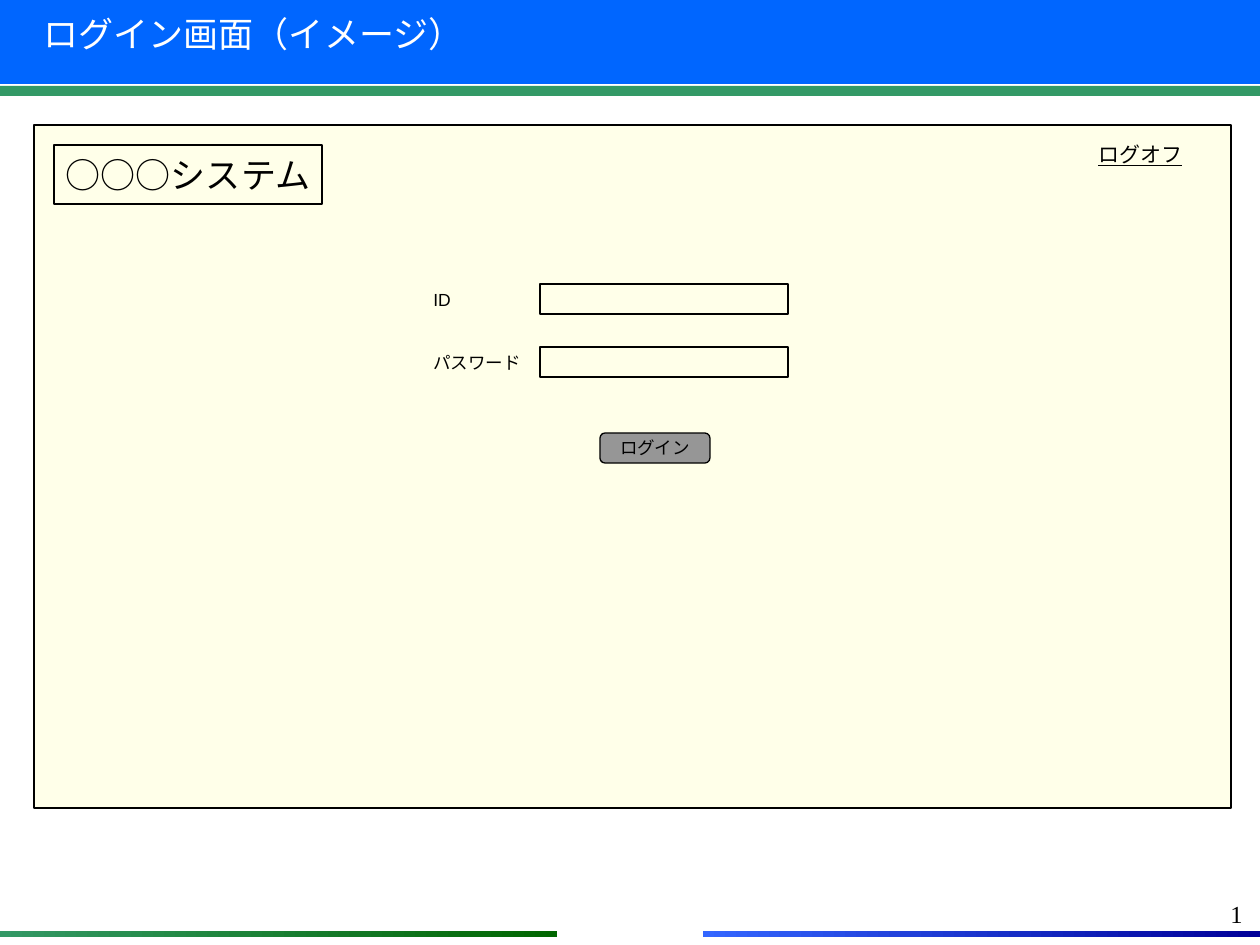
"""Build a login screen mock-up slide."""
from dataclasses import dataclass

from pptx import Presentation
from pptx.dml.color import RGBColor
from pptx.enum.shapes import MSO_SHAPE as Preset
from pptx.enum.text import MSO_ANCHOR as Anchor, MSO_AUTO_SIZE as AutoSize, PP_ALIGN as Align
from pptx.util import Pt

PX = 914400 / 126


@dataclass(frozen=True)
class Theme:
    header: str = "0066FF"
    stripe: str = "339966"
    dark_green: str = "006600"
    blue: str = "3366FF"
    navy: str = "000099"
    screen: str = "FFFFE9"
    button: str = "969696"
    ink: str = "000000"
    white: str = "FFFFFF"
    body_font: str = "Arial"
    title_font: str = "DejaVu Sans"
    number_font: str = "Times New Roman"
    heading: int = 20
    number: int = 14
    link: int = 12
    label: int = 10
    line: float = 0.75


theme = Theme()


def add_box(box, fill=None, outlined=False, preset=Preset.RECTANGLE):
    shape = slide.shapes.add_shape(preset, *(round(value * PX) for value in box))
    shape.shadow.inherit = False
    if fill:
        shape.fill.solid()
        shape.fill.fore_color.rgb = RGBColor.from_string(fill)
    else:
        shape.fill.background()
    if outlined:
        shape.line.color.rgb = RGBColor.from_string(theme.ink)
        shape.line.width = Pt(theme.line)
    else:
        shape.line.fill.background()
    return shape


def write(shape, text, size, font=theme.body_font, color=theme.ink,
          align=Align.LEFT, anchor=Anchor.TOP, wrap=True):
    frame = shape.text_frame
    frame.auto_size = AutoSize.NONE
    frame.word_wrap = wrap
    frame.vertical_anchor = anchor
    paragraph = frame.paragraphs[0]
    paragraph.alignment = align
    run = paragraph.add_run()
    run.text = text
    run.font.size = Pt(size)
    run.font.name = font
    run.font.color.rgb = RGBColor.from_string(color)
    return run


presentation = Presentation()
presentation.slide_width = round(1260 * PX)
presentation.slide_height = round(945 * PX)
slide = presentation.slides.add_slide(presentation.slide_layouts[5])

add_box((0, 0, 1260, 84), theme.header)
for left, start, end in ((703, theme.navy, theme.blue), (0, theme.dark_green, theme.stripe)):
    bar = add_box((left, 931, 557, 6))
    bar.fill.gradient()
    bar.fill.gradient_angle = 180
    for stop, color in zip(bar.fill.gradient_stops, (start, end)):
        stop.color.rgb = RGBColor.from_string(color)
add_box((-5, 86, 1265, 10), theme.stripe)
add_box((34, 125, 1197, 683), theme.screen, outlined=True)

title = slide.shapes.title
title.left, title.top, title.width, title.height = (
    round(value * PX) for value in (31, 6, 1229, 100))
write(title, "ログイン画面（イメージ）", theme.heading, theme.title_font, theme.white)
title.element.getparent().append(title.element)

for row, label in enumerate(("ID", "パスワード")):
    top = 284 + row * 63
    label_box = slide.shapes.add_textbox(
        *(round(value * PX) for value in (421, top - 1, 258, 38)))
    write(label_box, label, theme.label)
    add_box((540, top, 248, 30), outlined=True)

logoff_box = slide.shapes.add_textbox(
    *(round(value * PX) for value in (1086, 135, 120, 38)))
logoff = write(logoff_box, "ログオフ", theme.link)
logoff.font.underline = True

login = add_box((600, 433, 110, 30), theme.button, True, Preset.ROUNDED_RECTANGLE)
system = add_box((54, 145, 268, 59), outlined=True)
for shape, text, size in ((login, "ログイン", theme.label),
                          (system, "○○○システム", theme.heading)):
    write(shape, text, size, align=Align.CENTER, anchor=Anchor.MIDDLE, wrap=False)

number_box = slide.shapes.add_textbox(
    *(round(value * PX) for value in (961, 893, 294, 66)))
write(number_box, "1", theme.number, theme.number_font, align=Align.RIGHT)

presentation.save("out.pptx")
